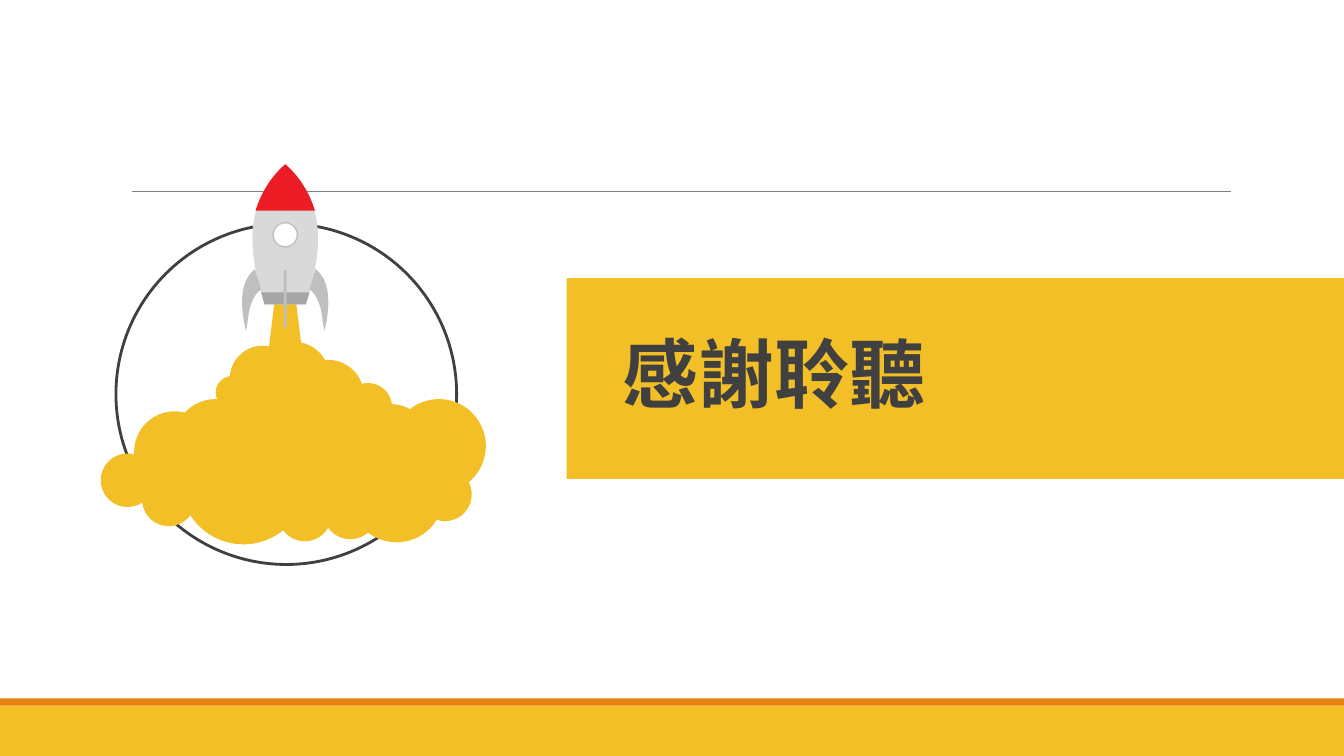
from dataclasses import dataclass

from lxml.etree import SubElement
from pptx import Presentation
from pptx.dml.color import RGBColor
from pptx.enum.shapes import MSO_CONNECTOR, MSO_SHAPE
from pptx.enum.text import MSO_ANCHOR, MSO_AUTO_SIZE, PP_ALIGN
from pptx.oxml.ns import qn
from pptx.util import Inches, Pt

COLUMNS, ROWS = 133.33, 75
CELL = Inches(0.1)
AXIS, NOSE_TOP = 28.3, 16.3  # the rocket is drawn around this point
CURVE_STEPS = 16


@dataclass(frozen=True)
class Theme:
    yellow: str = "F2BF27"
    orange: str = "E48312"
    dark: str = "404040"
    rule: str = "808080"
    white: str = "FFFFFF"
    red: str = "ED1C24"
    hull: str = "D9D9D9"
    collar: str = "A6A6A6"
    fin: str = "BFBFBF"
    font: str = "Noto Sans CJK JP"
    title_size: float = 54


THEME = Theme()

# left, top, diameter
PUFFS = [
    (22.8, 34.3, 6.5), (21.4, 37.3, 3.3), (17.3, 39.6, 8.1), (13.3, 40.8, 8.1),
    (10, 45, 5.3), (14.1, 46.9, 5.3), (17.9, 41.5, 12.5), (27.6, 48.4, 5.3),
    (32.1, 48.2, 5.3), (34.7, 44.5, 9.3), (41.5, 46.4, 5.3), (38.9, 39.6, 9.3),
    (25.6, 33.9, 7.1), (29, 35.7, 7.1), (34.1, 38, 4.8), (35.3, 40.1, 7.1),
    (22.5, 37.2, 14.5),
]


def grid(cells):
    return round(cells * CELL)


def color(code):
    return RGBColor.from_string(code)


def apply(target, values):
    for name, value in values.items():
        setattr(target, name, value)


def paint(shape, fill=None, line=None, line_points=1):
    shape.shadow.inherit = False
    if fill:
        shape.fill.solid()
        shape.fill.fore_color.rgb = color(fill)
    else:
        shape.fill.background()
    if line:
        shape.line.color.rgb = color(line)
        shape.line.width = Pt(line_points)
    else:
        shape.line.fill.background()
    return shape


def add_block(shapes, kind, left, top, width, height, **look):
    shape = shapes.add_shape(kind, *map(grid, (left, top, width, height)))
    return paint(shape, **look)


def add_circle(shapes, left, top, diameter, **look):
    return add_block(shapes, MSO_SHAPE.OVAL, left, top, diameter, diameter, **look)


def add_rule(shapes, left, right, row):
    rule = shapes.add_connector(
        MSO_CONNECTOR.STRAIGHT, grid(left), grid(row), grid(right), grid(row))
    rule.line.color.rgb = color(THEME.rule)
    rule.line.width = Pt(0.5)
    SubElement(rule.element.spPr, qn("a:effectLst"))


def curve(*controls):
    """Points along a cubic curve with four control points."""
    points = []
    for step in range(CURVE_STEPS + 1):
        t = step / CURVE_STEPS
        weights = ((1 - t) ** 3, 3 * t * (1 - t) ** 2, 3 * t * t * (1 - t), t ** 3)
        points.append(tuple(
            sum(w * point[axis] for w, point in zip(weights, controls))
            for axis in (0, 1)))
    return points


def mirror(points):
    return [(-x, y) for x, y in points]


def add_outline(shapes, points, fill):
    """Closed outline from points measured from the tip of the rocket."""
    placed = [(grid(AXIS + x), grid(NOSE_TOP + y)) for x, y in points]
    builder = shapes.build_freeform(*placed[0])
    builder.add_line_segments(placed[1:], close=True)
    return paint(builder.convert_to_shape(), fill=fill)


def add_symmetric(shapes, half, fill):
    return add_outline(shapes, half + mirror(half)[::-1], fill)


def add_cloud(shapes):
    cloud = shapes.add_group_shape().shapes
    for left, top, diameter in PUFFS:
        add_circle(cloud, left, top, diameter, fill=THEME.yellow)
    add_block(cloud, MSO_SHAPE.TRAPEZOID, AXIS - 2.05, 29.6, 4.1, 8.3,
              fill=THEME.yellow)


def add_rocket(shapes):
    rocket = shapes.add_group_shape().shapes
    hull = curve((0, 0), (4.8, 4.3), (3.2, 10), (2.05, 13.9))
    cone = curve((0, 0), (1.5, 1.3), (2.4, 2.9), (2.95, 4.6))
    fin = (curve((-2.4, 12.4), (-3.8, 13.5), (-3.6, 15.6), (-3.9, 16.5))
           + curve((-3.9, 16.5), (-4.2, 15.3), (-4.9, 11.8), (-3, 10.4)))
    add_symmetric(rocket, hull, THEME.hull)
    add_symmetric(rocket, [(2.4, 12.7), (2.05, 13.9)], THEME.collar)
    add_symmetric(rocket, cone, THEME.red)
    add_circle(rocket, AXIS - 1.2, 22.1, 2.4,
               fill=THEME.white, line=THEME.fin)
    add_block(rocket, MSO_SHAPE.RECTANGLE, AXIS - 0.15, 26.8, 0.3, 5.7,
              fill=THEME.fin)
    for side in (fin, mirror(fin)):
        add_outline(rocket, side, THEME.fin)


def set_title(title, text):
    apply(title, {"left": grid(61.8), "top": grid(30.1),
                  "width": grid(37.5), "height": grid(14.8)})
    frame = title.text_frame
    apply(frame, {"text": text, "word_wrap": True,
                  "auto_size": MSO_AUTO_SIZE.NONE,
                  "vertical_anchor": MSO_ANCHOR.MIDDLE,
                  "margin_left": 0, "margin_right": 0,
                  "margin_top": Inches(0.05), "margin_bottom": Inches(0.05)})
    para = frame.paragraphs[0]
    apply(para, {"alignment": PP_ALIGN.LEFT, "line_spacing": 0.9,
                 "space_before": Pt(0), "space_after": Pt(2)})
    span = para.runs[0]
    apply(span.font, {"name": THEME.font, "size": Pt(THEME.title_size),
                      "bold": True})
    span.font.color.rgb = color(THEME.dark)
    SubElement(span._r.get_or_add_rPr(), qn("a:ea"), typeface=THEME.font)


def main():
    deck = Presentation()
    apply(deck, {"slide_width": grid(COLUMNS), "slide_height": grid(ROWS)})
    page = deck.slides.add_slide(deck.slide_layouts[5])
    shapes = page.shapes

    add_block(shapes, MSO_SHAPE.RECTANGLE, 0, ROWS - 5, COLUMNS, 5,
              fill=THEME.yellow)
    add_block(shapes, MSO_SHAPE.RECTANGLE, 0, ROWS - 5.7, COLUMNS, 0.7,
              fill=THEME.orange)
    add_rule(shapes, 13.1, 122.1, 19)
    add_circle(shapes, 11.5, 22.2, 33.8, line=THEME.dark, line_points=2)
    banner = add_block(shapes, MSO_SHAPE.RECTANGLE, 56.2, 27.6,
                       COLUMNS - 56.2, 19.9, fill=THEME.yellow)
    set_title(shapes.title, "感謝聆聽")
    banner.element.addnext(shapes.title.element)
    add_cloud(shapes)
    add_rocket(shapes)
    deck.save("out.pptx")


if __name__ == "__main__":
    main()
